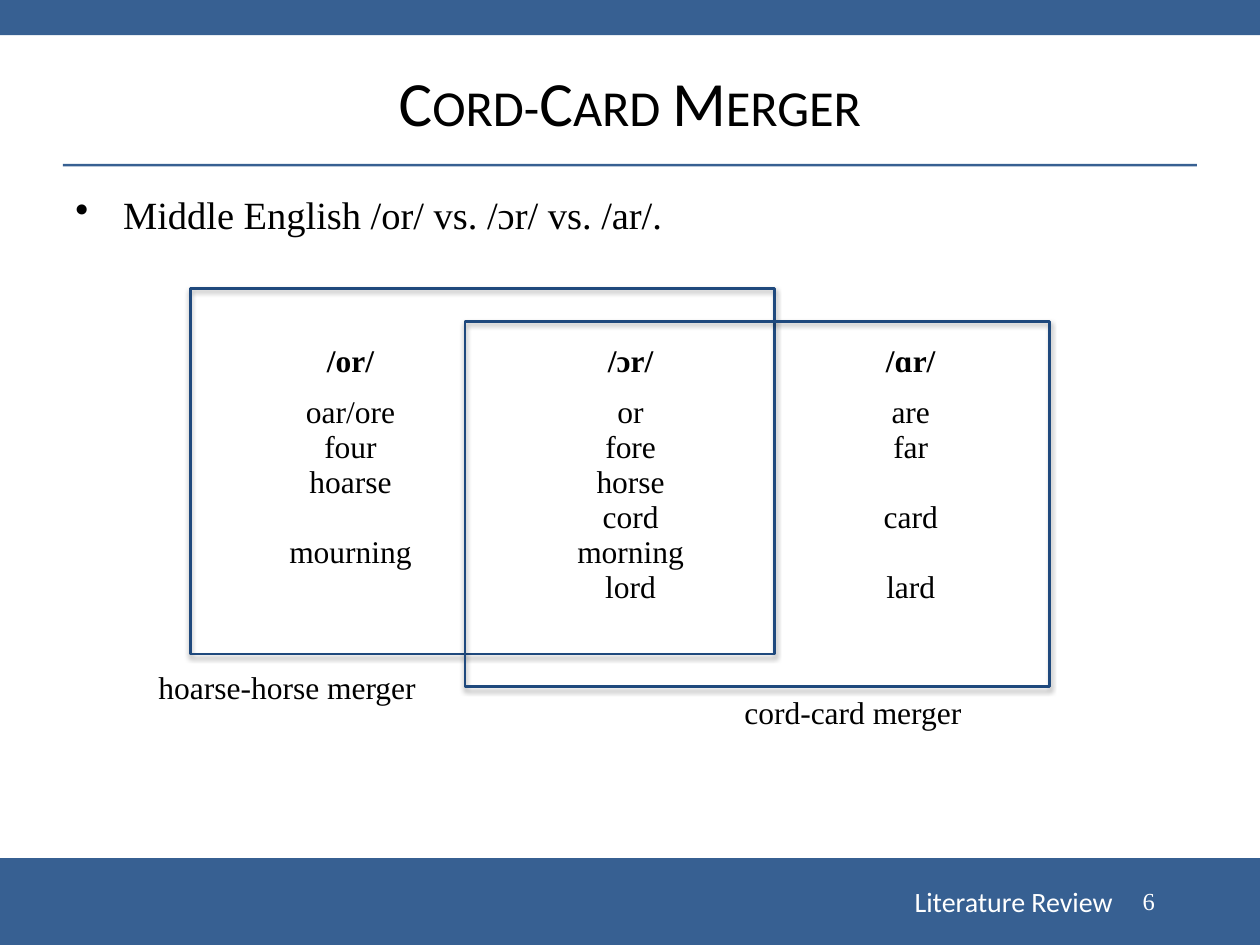
from lxml.etree import SubElement
from pptx import Presentation
from pptx.dml.color import RGBColor
from pptx.enum.shapes import MSO_SHAPE as Preset
from pptx.enum.text import MSO_ANCHOR as Anchor, PP_ALIGN as Align
from pptx.oxml import parse_xml
from pptx.oxml.ns import nsdecls, qn
from pptx.util import Inches, Pt

SERIF, SANS = "Times New Roman", "Calibri"
BLUE, NAVY, BLACK, WHITE = "376092", "1F497D", "000000", "FFFFFF"
COLUMNS, ROWS = 100, 75

WORDS = {
    "/or/": ["oar/ore", "four", "hoarse", "", "mourning"],
    "/ɔr/": ["or", "fore", "horse", "cord", "morning", "lord"],
    "/ɑr/": ["are", "far", "", "card", "", "lard"],
}


def color(code):
    """Turn a hex string into a colour."""
    return RGBColor.from_string(code)


class Page:
    """Hold the slide, its grid and its text style."""

    def __init__(self, deck):
        """Add a blank slide and measure its grid."""
        self.shapes = deck.slides.add_slide(deck.slide_layouts[6]).shapes
        self.column = deck.slide_width / COLUMNS
        self.row = deck.slide_height / ROWS

    def place(self, left, top, width, height):
        """Turn grid columns and rows into slide lengths."""
        steps = (self.column, self.row) * 2
        return [round(n * step) for n, step in zip((left, top, width, height), steps)]

    def style(self, para, size, face=SERIF, ink=BLACK, align=Align.LEFT, bold=False):
        """Set the alignment and font of a paragraph."""
        para.alignment = align
        font = para.font
        font.name, font.size, font.bold = face, Pt(size), bold
        font.color.rgb = color(ink)

    def bar(self, *area):
        """Draw a plain filled band."""
        band = self.shapes.add_shape(Preset.RECTANGLE, *self.place(*area))
        band.shadow.inherit = False
        band.fill.solid()
        band.fill.fore_color.rgb = color(BLUE)
        band.line.fill.background()

    def frame(self, *area):
        """Draw an outlined rectangle with a soft shadow."""
        box = self.shapes.add_shape(Preset.RECTANGLE, *self.place(*area))
        box.shadow.inherit = False
        box.fill.background()
        box.line.color.rgb = color(NAVY)
        box.line.width = Pt(1.5)
        effects = box._element.spPr.find(qn("a:effectLst"))
        effects.append(parse_xml(
            f'<a:outerShdw {nsdecls("a")} blurRad="{Pt(3.1)}" dist="{Pt(1.8)}" '
            'dir="5400000" rotWithShape="0"><a:srgbClr val="000000">'
            '<a:alpha val="35000"/></a:srgbClr></a:outerShdw>'))

    def text(self, words, area, size, anchor=Anchor.TOP, bullet=False,
             small_caps=False, **style):
        """Write one paragraph in a text box."""
        frame = self.shapes.add_textbox(*self.place(*area)).text_frame
        frame.word_wrap = True
        frame.vertical_anchor = anchor
        para = frame.paragraphs[0]
        span = para.add_run()
        span.text = words
        if small_caps:
            span._r.get_or_add_rPr().set("cap", "small")
        if bullet:
            props = para._p.get_or_add_pPr()
            props.set("marL", str(Inches(0.38)))
            props.set("indent", str(-Inches(0.38)))
            SubElement(props, qn("a:buChar")).set("char", "•")
        self.style(para, size, **style)

    def fill_cell(self, cell, lines, bold=False):
        """Write centred lines, leaving a line's space for each empty one."""
        cell.fill.background()
        frame = cell.text_frame
        para, gap = frame.paragraphs[0], 0
        for line in lines:
            if not line:
                gap += 20
                continue
            if para.text:
                para = frame.add_paragraph()
            para.text = line
            para.space_before = Pt(gap)
            self.style(para, 18, align=Align.CENTER, bold=bold)
            gap = 0

    def table(self, columns, area, header_height):
        """Draw a table with one heading and one word list a column."""
        grid = self.shapes.add_table(2, len(columns), *self.place(*area)).table
        grid.first_row = grid.horz_banding = False
        grid.rows[0].height = round(header_height * self.row)
        grid.rows[1].height = round((area[3] - header_height) * self.row)
        for index, (heading, lines) in enumerate(columns.items()):
            self.fill_cell(grid.cell(0, index), [heading], bold=True)
            self.fill_cell(grid.cell(1, index), lines)


def main():
    """Build the slide and save it."""
    deck = Presentation()
    deck.slide_width, deck.slide_height = Inches(10), Inches(7.5)
    page = Page(deck)

    page.bar(0, 68.1, COLUMNS, 6.9)
    page.bar(0, 0, COLUMNS, 2.8)
    page.bar(5, 13, 90, 0.2)
    page.text("Literature Review", (57.6, 69.5, 31.7, 4), 16, Anchor.MIDDLE,
              face=SANS, ink=WHITE, align=Align.RIGHT)
    page.text("6", (89.7, 69.5, 5.3, 4), 14, Anchor.MIDDLE, ink=WHITE)

    page.text("Cord-Card Merger", (5, 3.1, 90, 9.9), 36, Anchor.MIDDLE,
              small_caps=True, face=SANS, align=Align.CENTER)
    page.text("Middle English /or/ vs. /ɔr/ vs. /ar/.", (5, 14.7, 90, 7.1), 22,
              bullet=True)

    page.table(WORDS, (16.7, 26.8, 66.7, 23.1), 4.1)
    page.frame(15.1, 22.9, 46.4, 29)
    page.text("hoarse-horse merger", (11.6, 52.5, 25.3, 4), 18)
    page.text("cord-card merger", (58.1, 54.5, 25.3, 4), 18)
    page.frame(36.9, 25.5, 46.4, 29)
    deck.save("out.pptx")


if __name__ == "__main__":
    main()
